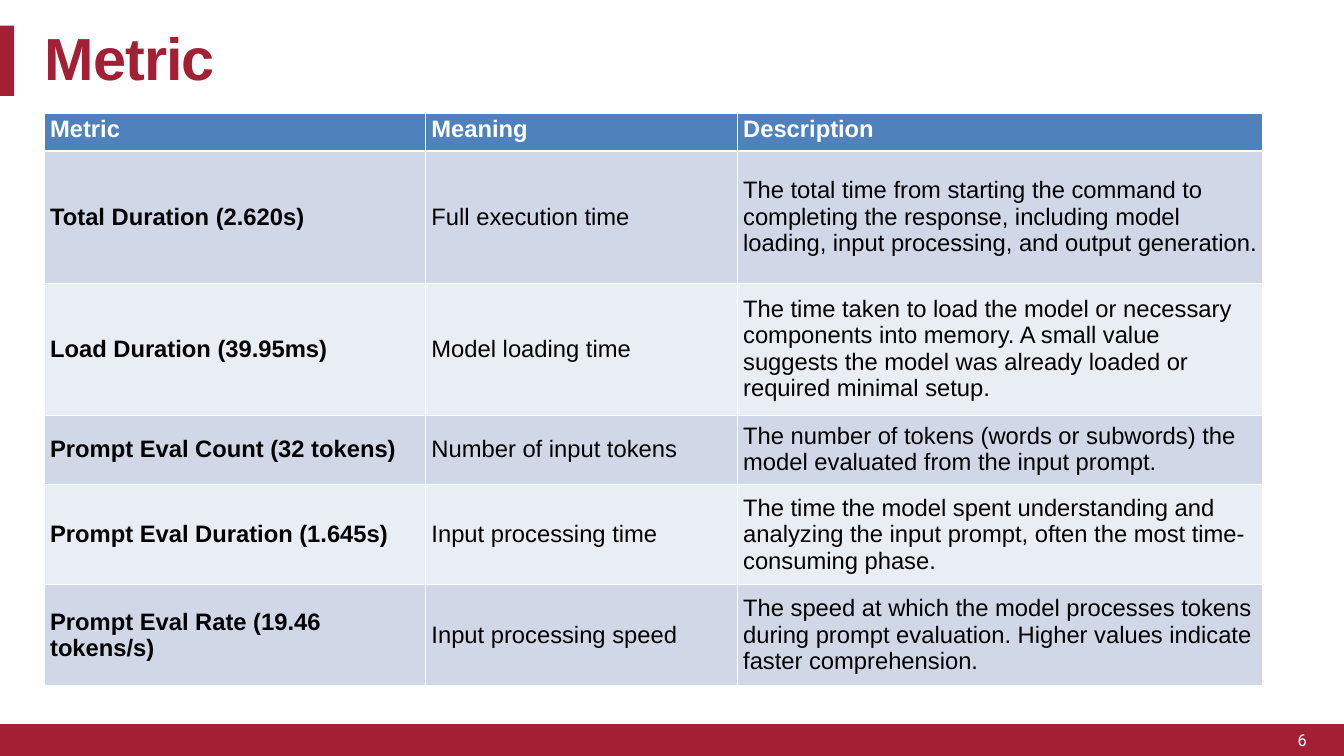
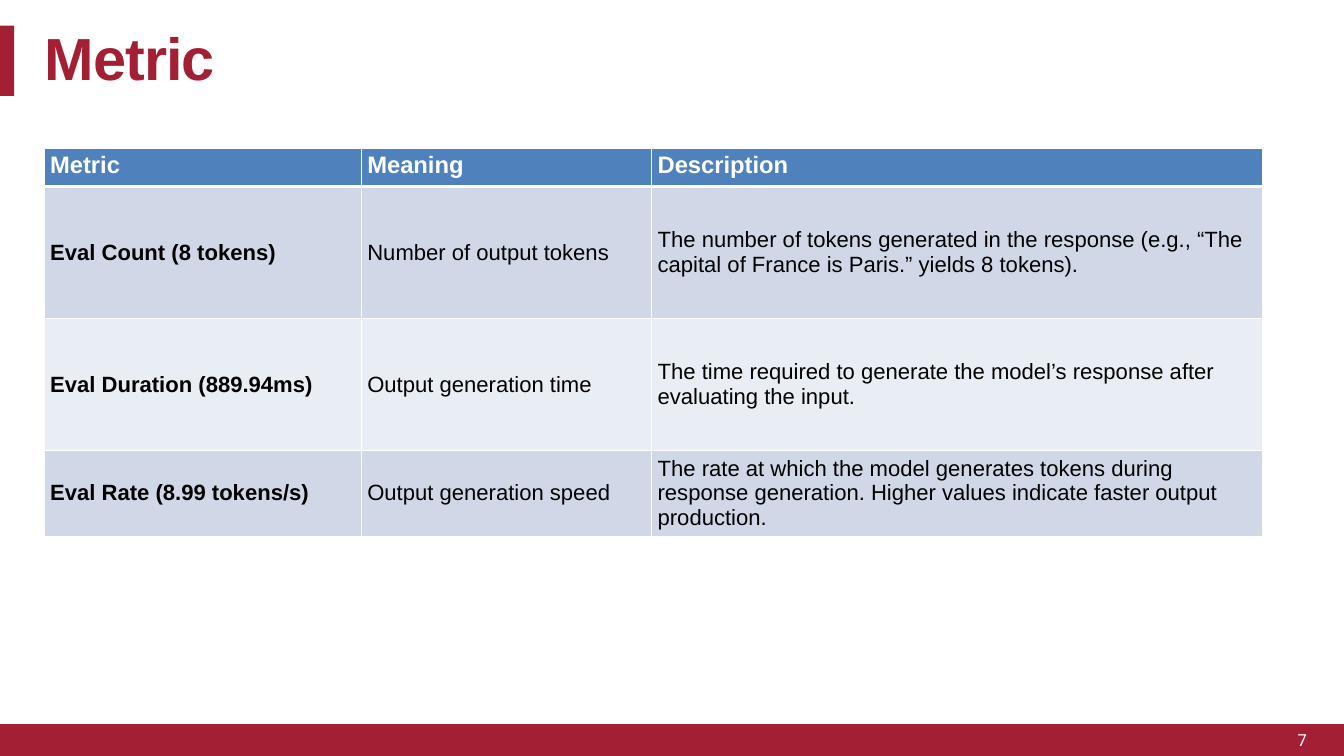
"""Build two slides of tables that explain model timing metrics."""
from lxml import etree
from pptx import Presentation
from pptx.dml.color import RGBColor
from pptx.enum import shapes, text
from pptx.oxml import ns
from pptx.util import Inches, Pt

CRIMSON = RGBColor(0xA3, 0x1F, 0x34)
WHITE = RGBColor(0xFF, 0xFF, 0xFF)
BLACK = RGBColor(0x00, 0x00, 0x00)
HEADER_BLUE = RGBColor(0x4F, 0x81, 0xBD)
BAND_COLORS = (RGBColor(0xD0, 0xD8, 0xE8), RGBColor(0xE9, 0xED, 0xF4))

WIDTH, HEIGHT = 21.99, 12.37
MARGIN = 0.72
FOOTER_TOP = 11.85
HEADER_HEIGHT = 0.62
HEADINGS = ("Metric", "Meaning", "Description")

INPUT_METRICS = [
    ("Total Duration (2.620s)", "Full execution time",
     "The total time from starting the command to completing the response, "
     "including model loading, input processing, and output generation."),
    ("Load Duration (39.95ms)", "Model loading time",
     "The time taken to load the model or necessary components into memory. "
     "A small value suggests the model was already loaded or required minimal setup."),
    ("Prompt Eval Count (32 tokens)", "Number of input tokens",
     "The number of tokens (words or subwords) the model evaluated from the input prompt."),
    ("Prompt Eval Duration (1.645s)", "Input processing time",
     "The time the model spent understanding and analyzing the input prompt, "
     "often the most time-consuming phase."),
    ("Prompt Eval Rate (19.46 tokens/s)", "Input processing speed",
     "The speed at which the model processes tokens during prompt evaluation. "
     "Higher values indicate faster comprehension."),
]
OUTPUT_METRICS = [
    ("Eval Count (8 tokens)", "Number of output tokens",
     "The number of tokens generated in the response "
     "(e.g., “The capital of France is Paris.” yields 8 tokens)."),
    ("Eval Duration (889.94ms)", "Output generation time",
     "The time required to generate the model’s response after evaluating the input."),
    ("Eval Rate (8.99 tokens/s)", "Output generation speed",
     "The rate at which the model generates tokens during response generation. "
     "Higher values indicate faster output production."),
]


def add_run(paragraph, words, size, color, bold=False, font="Arial", spacing=0):
    """Add one formatted run, with letter spacing in points."""
    run = paragraph.add_run()
    run.text = words
    run.font.name = font
    run.font.size = Pt(size)
    run.font.bold = bold
    run.font.color.rgb = color
    if spacing:
        run.font._element.set("spc", str(round(spacing * 100)))


def prepare_frame(frame, top_inset=0, space_before=0, indent=0):
    """Clear the insets of a text frame and return its first paragraph."""
    frame.margin_left = frame.margin_right = frame.margin_bottom = 0
    frame.margin_top = Inches(top_inset)
    frame.word_wrap = True
    frame.vertical_anchor = text.MSO_ANCHOR.TOP
    frame.auto_size = text.MSO_AUTO_SIZE.SHAPE_TO_FIT_TEXT
    paragraph = frame.paragraphs[0]
    paragraph.alignment = text.PP_ALIGN.LEFT
    paragraph.space_before = Pt(space_before)
    properties = paragraph._p.get_or_add_pPr()
    properties.set("marL", str(Inches(indent)))
    properties.set("indent", "0")
    return paragraph


def add_layout_band(slide, shape_id, left, top, width, height):
    """Draw a crimson band and hand it to the layout of the slide."""
    band = slide.shapes.add_shape(shapes.MSO_SHAPE.RECTANGLE, Inches(left), Inches(top),
                                  Inches(width), Inches(height))
    band.shadow.inherit = False
    band.fill.solid()
    band.fill.fore_color.rgb = CRIMSON
    band.line.fill.background()
    band.element.nvSpPr.cNvPr.set("id", str(shape_id))
    slide.slide_layout.shapes.element.append(band.element)


def add_title(slide, words):
    """Place and format the title placeholder."""
    title = slide.shapes.title
    title.left, title.top = Inches(MARGIN), Inches(0.34)
    title.width, title.height = Inches(15.86), Inches(1.19)
    paragraph = prepare_frame(title.text_frame, 0.01, 1.1, 0.01)
    add_run(paragraph, words, 70, CRIMSON, bold=True, spacing=-1.1)


def add_page_number(slide, number):
    """Write the page number on the footer band."""
    page = slide.shapes.add_textbox(Inches(21.19), Inches(11.95), Inches(0.4), Inches(0.35))
    paragraph = prepare_frame(page.text_frame, space_before=0.3, indent=0.04)
    add_run(paragraph, str(number), 19.5, WHITE, font="Roboto", spacing=0.5)


def set_borders(cell, top, bottom):
    """Give a cell white borders, with top and bottom widths in points."""
    properties = cell._tc.get_or_add_tcPr()
    widths = {"a:lnL": 1, "a:lnR": 1, "a:lnT": top, "a:lnB": bottom}
    for position, (side, width) in enumerate(widths.items()):
        border = etree.Element(ns.qn(side), w=str(Pt(width)))
        fill = etree.SubElement(border, ns.qn("a:solidFill"))
        etree.SubElement(fill, ns.qn("a:srgbClr"), val=str(WHITE))
        properties.insert(position, border)


def add_metric_table(slide, top, columns, body_heights, metrics, body_size):
    """Add a table with a blue header and banded metric rows."""
    heights = [HEADER_HEIGHT, *body_heights]
    table = slide.shapes.add_table(len(heights), len(columns), Inches(MARGIN), Inches(top),
                                   Inches(sum(columns)), Inches(sum(heights))).table
    for column, width in zip(table.columns, columns):
        column.width = Inches(width)
    for row, height in zip(table.rows, heights):
        row.height = Inches(height)
    for row_index, entries in enumerate([HEADINGS, *metrics]):
        header = row_index == 0
        for column_index, words in enumerate(entries):
            cell = table.cell(row_index, column_index)
            cell.fill.solid()
            cell.fill.fore_color.rgb = HEADER_BLUE if header else BAND_COLORS[(row_index - 1) % 2]
            cell.vertical_anchor = text.MSO_ANCHOR.TOP if header else text.MSO_ANCHOR.MIDDLE
            set_borders(cell, 3 if row_index == 1 else 1, 3 if header else 1)
            add_run(cell.text_frame.paragraphs[0], words, 28 if header else body_size,
                    WHITE if header else BLACK, bold=header or column_index == 0)


def add_metric_slide(deck, number, **table_parts):
    """Add a titled, numbered slide with one metric table."""
    slide = deck.slides.add_slide(deck.slide_layouts.get_by_name("Title Only"))
    add_title(slide, "Metric")
    add_metric_table(slide, **table_parts)
    add_page_number(slide, number)
    return slide


def main():
    """Build and save the presentation."""
    deck = Presentation()
    deck.slide_width, deck.slide_height = Inches(WIDTH), Inches(HEIGHT)
    first = add_metric_slide(deck, 6, top=1.85, columns=(6.24, 5.1, 8.6),
                             body_heights=(2.16, 2.16, 1.13, 1.65, 1.65),
                             metrics=INPUT_METRICS, body_size=28)
    add_metric_slide(deck, 7, top=2.43, columns=(5.19, 4.75, 10),
                     body_heights=(2.16, 2.16, 1.13),
                     metrics=OUTPUT_METRICS, body_size=26)
    add_layout_band(first, 101, 0, FOOTER_TOP, WIDTH, HEIGHT - FOOTER_TOP)
    add_layout_band(first, 102, 0, 0.42, 0.23, 1.15)
    deck.save("out.pptx")


if __name__ == "__main__":
    main()
